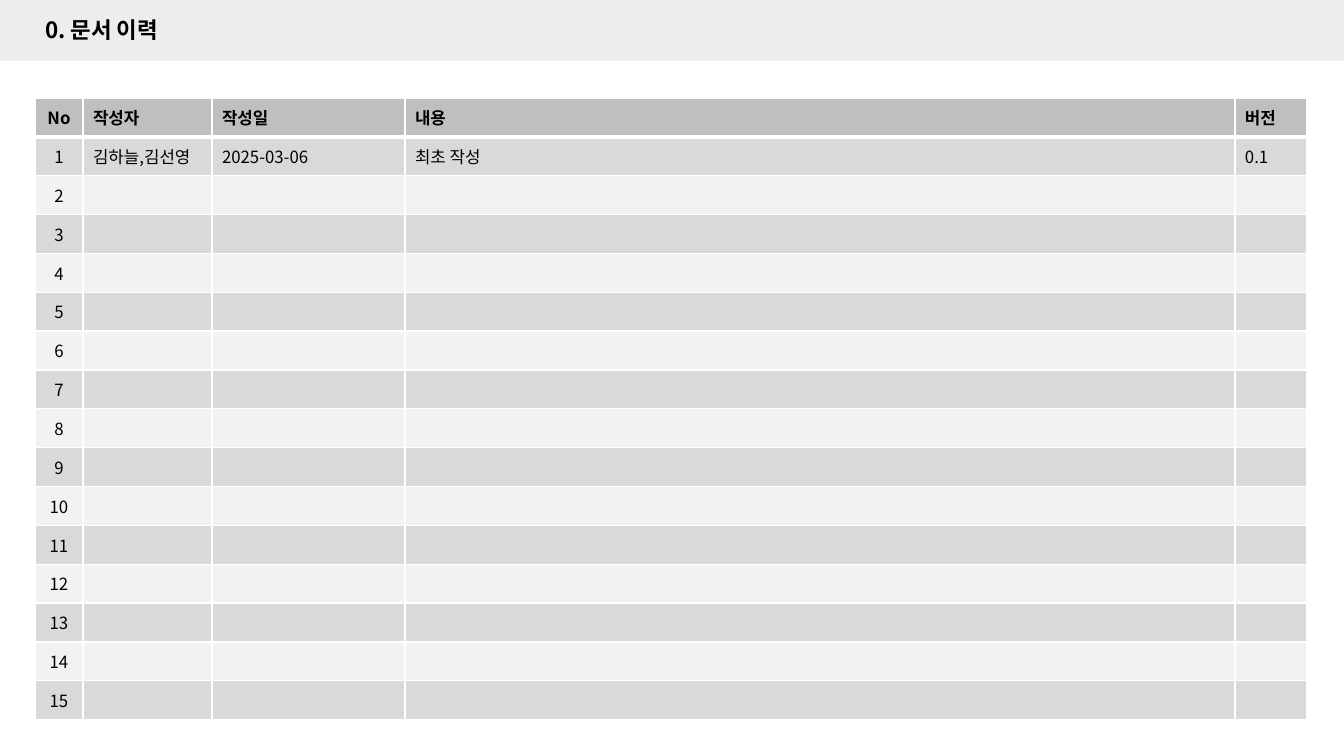
from lxml import etree
from pptx import Presentation
from pptx.dml.color import RGBColor
from pptx.enum.shapes import MSO_SHAPE
from pptx.enum.text import MSO_ANCHOR, MSO_AUTO_SIZE, PP_ALIGN
from pptx.oxml.ns import qn
from pptx.util import Emu, Pt

RECTANGLE = MSO_SHAPE.RECTANGLE
MIDDLE = MSO_ANCHOR.MIDDLE
NO_AUTOFIT = MSO_AUTO_SIZE.NONE
LEFT, CENTER = PP_ALIGN.LEFT, PP_ALIGN.CENTER

BLACK = RGBColor(0x00, 0x00, 0x00)
WHITE = RGBColor(0xFF, 0xFF, 0xFF)
BAND_GRAY = RGBColor(0xED, 0xED, 0xED)
HEADER_GRAY = RGBColor(0xBF, 0xBF, 0xBF)
ODD_GRAY = RGBColor(0xD9, 0xD9, 0xD9)
EVEN_GRAY = RGBColor(0xF2, 0xF2, 0xF2)

FONT = "Noto Sans CJK KR"
EMU_PER_PX = 914400 / 100.8

COLUMN_WIDTHS = [48, 129, 193, 830, 72]
HEADINGS = ["No", "작성자", "작성일", "내용", "버전"]
REVISIONS = [["김하늘,김선영", "2025-03-06", "최초 작성", "0.1"]]
REVISION_ROWS = 15


def px(length):
    return Emu(round(length * EMU_PER_PX))


def write(frame, text, size=12, bold=False, color=BLACK, align=LEFT):
    """Fill the first paragraph; an empty one still gets its text size."""
    paragraph = frame.paragraphs[0]
    paragraph.alignment = align
    if not text:
        etree.SubElement(paragraph._p, qn("a:endParaRPr"), sz=str(size * 100))
        return
    run = paragraph.add_run()
    run.text = text
    run.font.size = Pt(size)
    run.font.bold = bold
    run.font.color.rgb = color
    run.font.name = FONT
    for script in ("a:ea", "a:cs"):
        etree.SubElement(run.font._element, qn(script), typeface=FONT)


class HistorySlide:
    def __init__(self, presentation):
        layout = presentation.slide_layouts[5]
        self.slide = presentation.slides.add_slide(layout)
        self.shapes = self.slide.shapes

    def band(self, left, top, width, height, color):
        band = self.shapes.add_shape(
            RECTANGLE, px(left), px(top), px(width), px(height))
        band.shadow.inherit = False
        band.fill.solid()
        band.fill.fore_color.rgb = color
        band.line.fill.background()
        # Send behind the title placeholder
        self.shapes.title._element.addprevious(band._element)

    def title(self, text, left, top, width, height):
        title = self.shapes.title
        title.left, title.top = px(left), px(top)
        title.width, title.height = px(width), px(height)
        frame = title.text_frame
        frame.auto_size = NO_AUTOFIT
        frame.vertical_anchor = MIDDLE
        write(frame, text, size=16, bold=True)

    def borders(self, cell, **widths):
        properties = cell._tc.get_or_add_tcPr()
        for index, side in enumerate("LRTB"):
            width = Pt(widths.get(side, 1))
            line = etree.Element(qn(f"a:ln{side}"), w=str(width))
            fill = etree.SubElement(line, qn("a:solidFill"))
            etree.SubElement(fill, qn("a:srgbClr"), val=str(WHITE))
            properties.insert(index, line)

    def table(self, rows, left, top, height):
        table = self.shapes.add_table(
            len(rows), len(COLUMN_WIDTHS), px(left), px(top),
            px(sum(COLUMN_WIDTHS)), px(height)).table
        for column, width in zip(table.columns, COLUMN_WIDTHS):
            column.width = px(width)
        for number, texts in enumerate(rows):
            table.rows[number].height = px(height / len(rows))
            is_header = number == 0
            shade = (HEADER_GRAY if is_header
                     else ODD_GRAY if number % 2 else EVEN_GRAY)
            for column, text in enumerate(texts):
                cell = table.cell(number, column)
                cell.fill.solid()
                cell.fill.fore_color.rgb = shade
                cell.vertical_anchor = MIDDLE
                write(cell.text_frame, text, bold=is_header,
                      align=CENTER if column == 0 else LEFT)
                # Thick rule under the header row
                self.borders(cell, T=3 if number == 1 else 1,
                             B=3 if is_header else 1)


def main():
    presentation = Presentation()
    presentation.slide_width = px(1344)
    presentation.slide_height = px(756)
    history = HistorySlide(presentation)

    # Title band
    history.band(0, 0, 1344, 61, BAND_GRAY)
    history.title("0. 문서 이력", 35, 11, 213, 37)

    # Revision table, numbered down to the last free row
    rows = [HEADINGS]
    for number in range(1, REVISION_ROWS + 1):
        entry = REVISIONS[number - 1] if number <= len(REVISIONS) else [""] * 4
        rows.append([str(number), *entry])
    history.table(rows, 35, 98, 622)

    presentation.save("out.pptx")


if __name__ == "__main__":
    main()
